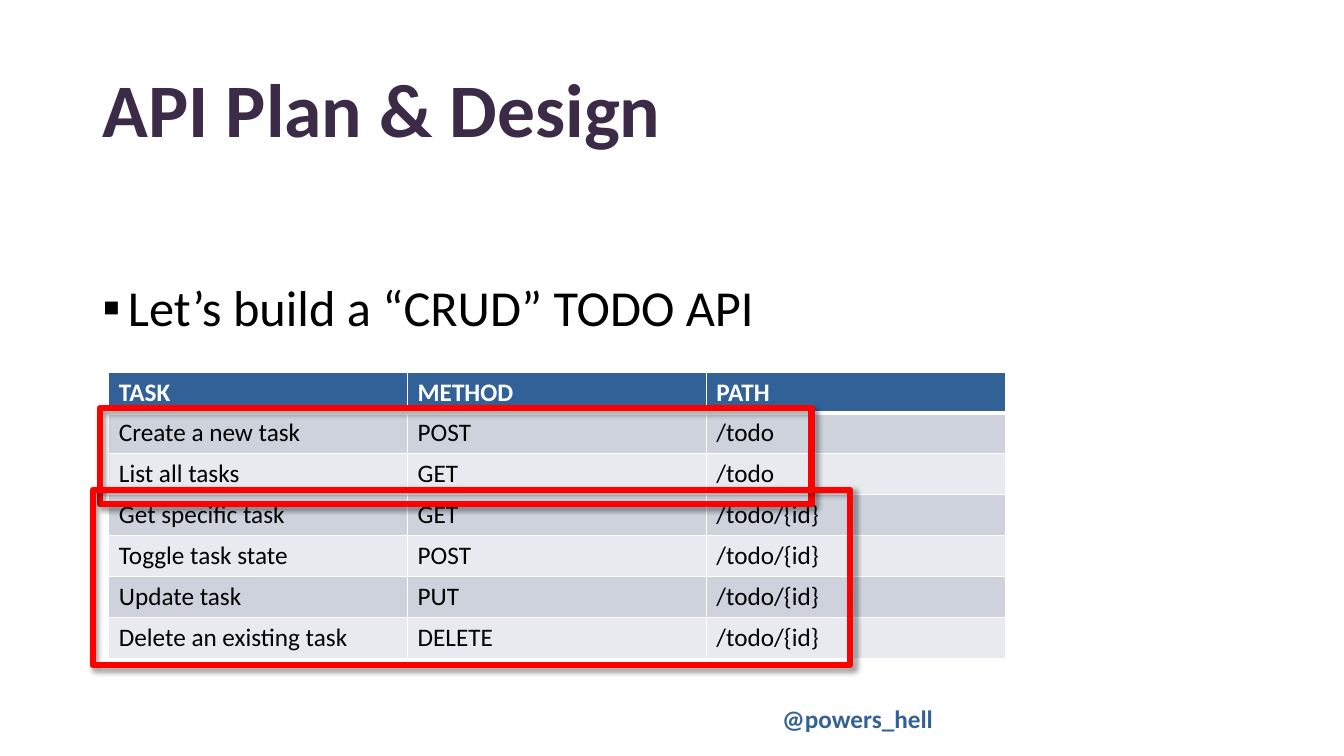
from lxml import etree
from pptx import Presentation
from pptx.dml.color import RGBColor
from pptx.enum.shapes import MSO_SHAPE
from pptx.enum.text import MSO_ANCHOR
from pptx.oxml import parse_xml
from pptx.oxml.ns import nsdecls, qn
from pptx.util import Inches, Pt

RECTANGLE = MSO_SHAPE.RECTANGLE
MIDDLE = MSO_ANCHOR.MIDDLE
WHITE, BLACK, RED = "FFFFFF", "000000", "FF0000"
HEADER_BLUE, BAND_DARK, BAND_LIGHT = "326198", "CED2DD", "E8EAEF"


def rgb(value):
    return RGBColor.from_string(value)


def style_font(font, size, color, bold=False):
    for name, value in {"name": "Calibri", "size": Pt(size), "bold": bold}.items():
        setattr(font, name, value)
    font.color.rgb = rgb(color)


prs = Presentation()
prs.slide_width, prs.slide_height = Inches(13.33), Inches(7.5)
slide = prs.slides.add_slide(prs.slide_layouts[6])

# Handle, title and bullet line
texts = [
    ("@powers_hell", (7.66, 6.93, 2.49, 0.4), 18, "346296", True, {}),
    ("API Plan & Design", (0.92, 0.4, 10.64, 1.45), 54, "3B2B46", True,
     {"vertical_anchor": MIDDLE}),
    ("Let’s build a “CRUD” TODO API", (0.92, 2.76, 11.5, 0.75), 36, BLACK, False, {}),
]
for wording, place, size, color, bold, frame_format in texts:
    frame = slide.shapes.add_textbox(*map(Inches, place)).text_frame
    for name, value in {"word_wrap": True, **frame_format}.items():
        setattr(frame, name, value)
    line = frame.paragraphs[0]
    line.text = wording
    if size > 18:
        line.line_spacing = 0.9
    if size == 36:
        indent = line._p.get_or_add_pPr()
        indent.set("marL", str(Inches(0.25)))
        indent.set("indent", str(-Inches(0.25)))
        etree.SubElement(indent, qn("a:buFont"), typeface="Calibri")
        etree.SubElement(indent, qn("a:buChar"), char="▪")
    style_font(line.runs[0].font, size, color, bold)

# Table of endpoints
endpoints = [
    ("TASK", "METHOD", "PATH"),
    ("Create a new task", "POST", "/todo"),
    ("List all tasks", "GET", "/todo"),
    ("Get specific task", "GET", "/todo/{id}"),
    ("Toggle task state", "POST", "/todo/{id}"),
    ("Update task", "PUT", "/todo/{id}"),
    ("Delete an existing task", "DELETE", "/todo/{id}"),
]
table = slide.shapes.add_table(
    len(endpoints), 3, Inches(1.08), Inches(3.69), Inches(8.89), Inches(2.84)).table
for r, endpoint in enumerate(endpoints):
    header = r == 0
    band = HEADER_BLUE if header else BAND_DARK if r % 2 else BAND_LIGHT
    for c, entry in enumerate(endpoint):
        cell = table.cell(r, c)
        cell.text = entry
        style_font(cell.text_frame.paragraphs[0].runs[0].font, 18,
                   WHITE if header else BLACK, header)
        # Borders go before the fill; the rule under the header is thicker
        borders = cell._tc.get_or_add_tcPr()
        for side in "LRTB":
            thick = (header and side == "B") or (r == 1 and side == "T")
            borders.append(parse_xml(
                f'<a:ln{side} {nsdecls("a")} w="{Pt(3 if thick else 1)}"><a:solidFill>'
                f'<a:srgbClr val="{WHITE}"/></a:solidFill></a:ln{side}>'))
        cell.fill.solid()
        cell.fill.fore_color.rgb = rgb(band)

# Red frames around the two path groups
for place in [(0.99, 4.05, 7.06, 0.95), (0.92, 4.86, 7.51, 1.74)]:
    group = slide.shapes.add_shape(RECTANGLE, *map(Inches, place))
    group.fill.background()
    group.line.color.rgb = rgb(RED)
    group.line.width = Pt(4.5)
    group.shadow.inherit = False
    effects = group._element.spPr.find(qn("a:effectLst"))
    effects.append(parse_xml(
        f'<a:outerShdw {nsdecls("a")} blurRad="{Pt(4)}" dist="{Pt(3)}" dir="2700000" '
        f'algn="tl" rotWithShape="0"><a:srgbClr val="{BLACK}">'
        '<a:alpha val="40000"/></a:srgbClr></a:outerShdw>'))

prs.save("out.pptx")
